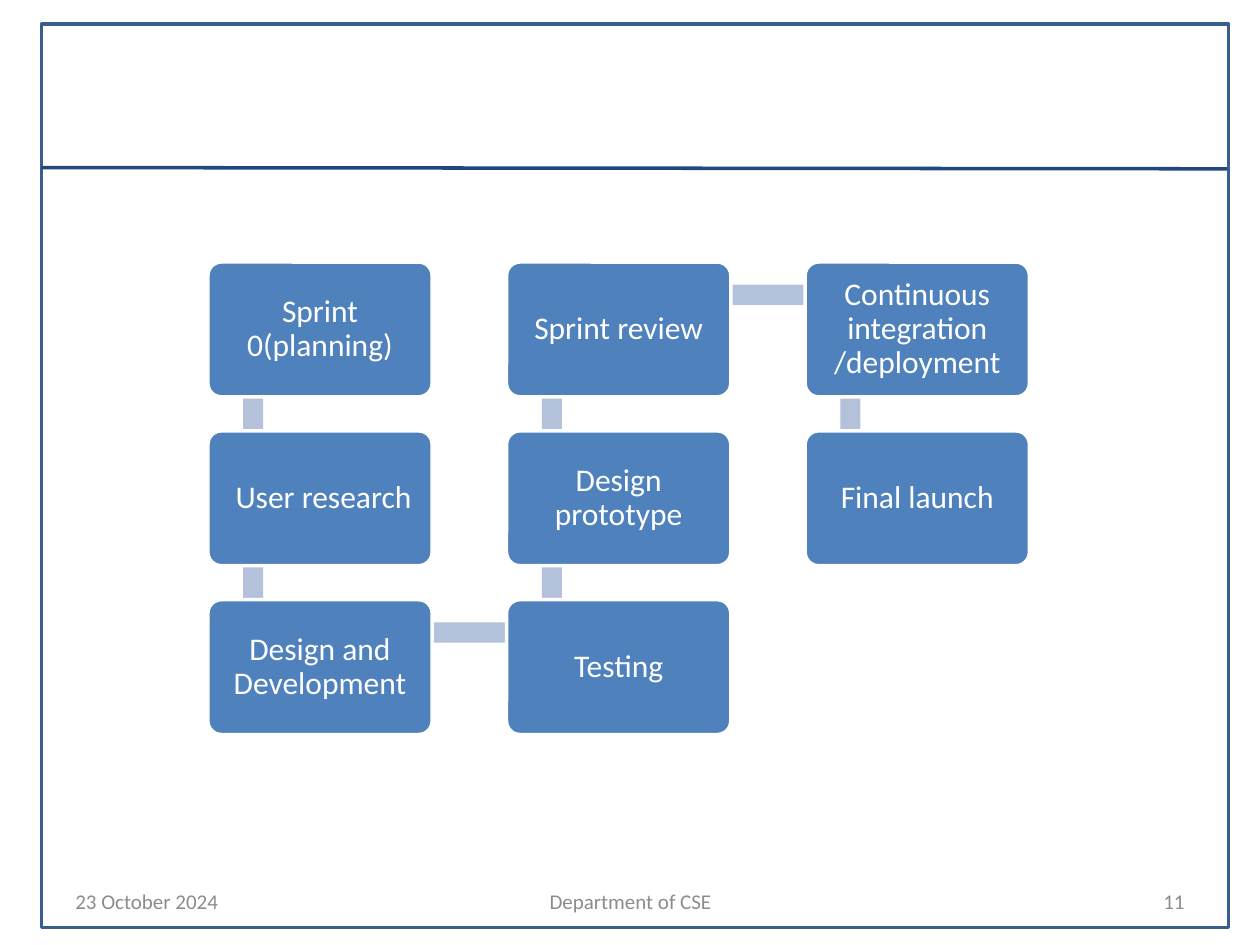
import pptx
import pptx.dml.color
import pptx.enum.shapes
import pptx.enum.text
import pptx.oxml.ns
import pptx.util
from lxml import etree
from pptx.util import Inches

FRAME_BLUE = pptx.dml.color.RGBColor(0x3A, 0x5F, 0x8C)
RULE_BLUE = pptx.dml.color.RGBColor(0x1F, 0x49, 0x7D)
CARD_BLUE = pptx.dml.color.RGBColor(0x4F, 0x81, 0xBD)
LINK_BLUE = pptx.dml.color.RGBColor(0xB3, 0xC1, 0xDB)
WHITE = pptx.dml.color.RGBColor(0xFF, 0xFF, 0xFF)
GRAY = pptx.dml.color.RGBColor(0x8C, 0x8C, 0x8C)

SHAPE = pptx.enum.shapes.MSO_SHAPE
ALIGN = pptx.enum.text.PP_ALIGN
MIDDLE = pptx.enum.text.MSO_ANCHOR.MIDDLE

LEFT, TOP = 1.65, 2.08
CARD_WIDTH, CARD_HEIGHT = 1.78, 1.07
COLUMN_STEP, ROW_STEP = 2.37, 1.34
LINK_THICKNESS = 0.16

presentation = pptx.Presentation()
presentation.slide_width = Inches(10)
presentation.slide_height = Inches(7.5)
slide = presentation.slides.add_slide(presentation.slide_layouts[6])


def add_box(kind, left, top, width, height, fill=None):
    shape = slide.shapes.add_shape(
        kind, Inches(left), Inches(top), Inches(width), Inches(height))
    shape.shadow.inherit = False
    if fill is None:
        shape.fill.background()
    else:
        shape.fill.solid()
        shape.fill.fore_color.rgb = fill
    return shape


def set_text(shape, text, size, color, alignment):
    frame = shape.text_frame
    frame.word_wrap = True
    frame.vertical_anchor = MIDDLE
    paragraph = frame.paragraphs[0]
    paragraph.text = text
    paragraph.alignment = alignment
    paragraph.font.name = "Calibri"
    paragraph.font.size = pptx.util.Pt(size)
    paragraph.font.color.rgb = color
    return frame


frame_box = add_box(SHAPE.RECTANGLE, 0.33, 0.19, 9.42, 7.17)
frame_box.line.color.rgb = FRAME_BLUE
frame_box.line.width = pptx.util.Pt(2)

header_rule = slide.shapes.add_connector(
    pptx.enum.shapes.MSO_CONNECTOR.STRAIGHT,
    Inches(0.33), Inches(1.33), Inches(9.74), Inches(1.34))
header_rule.line.color.rgb = RULE_BLUE
header_rule.line.width = pptx.util.Pt(2)
etree.SubElement(header_rule.element.spPr, pptx.oxml.ns.qn("a:effectLst"))

steps = [
    ("Sprint 0(planning)", 0, 0),
    (" User research", 0, 1),
    ("Design and Development", 0, 2),
    ("Testing", 1, 2),
    ("Design prototype", 1, 1),
    ("Sprint review", 1, 0),
    ("Continuous integration /deployment", 2, 0),
    ("Final launch", 2, 1),
]

for (_, column, row), (_, next_column, next_row) in zip(steps, steps[1:]):
    left = LEFT + column * COLUMN_STEP
    top = TOP + min(row, next_row) * ROW_STEP
    if column == next_column:
        link = add_box(SHAPE.RECTANGLE, left + 0.28, top + 0.27,
                       LINK_THICKNESS, ROW_STEP, LINK_BLUE)
    else:
        link = add_box(SHAPE.RECTANGLE, left + 0.37, top + 0.18,
                       COLUMN_STEP, LINK_THICKNESS, LINK_BLUE)
    link.line.fill.background()

for text, column, row in steps:
    card = add_box(SHAPE.ROUNDED_RECTANGLE, LEFT + column * COLUMN_STEP,
                   TOP + row * ROW_STEP, CARD_WIDTH, CARD_HEIGHT, CARD_BLUE)
    card.adjustments[0] = 0.1
    card.line.color.rgb = WHITE
    card.line.width = pptx.util.Pt(2)
    card_frame = set_text(card, text, 18, WHITE, ALIGN.CENTER)
    card_frame.paragraphs[0].line_spacing = 0.9
    card_frame.margin_left = card_frame.margin_right = Inches(0.07)
    card_frame.margin_top = card_frame.margin_bottom = Inches(0.07)

footers = [
    ("23 October 2024", 0.5, 2.33, ALIGN.LEFT),
    ("Department of CSE", 3.42, 3.17, ALIGN.CENTER),
    ("11", 7.17, 2.33, ALIGN.RIGHT),
]
for text, left, width, alignment in footers:
    footer = slide.shapes.add_textbox(
        Inches(left), Inches(6.95), Inches(width), Inches(0.4))
    set_text(footer, text, 12, GRAY, alignment)

presentation.save("out.pptx")
